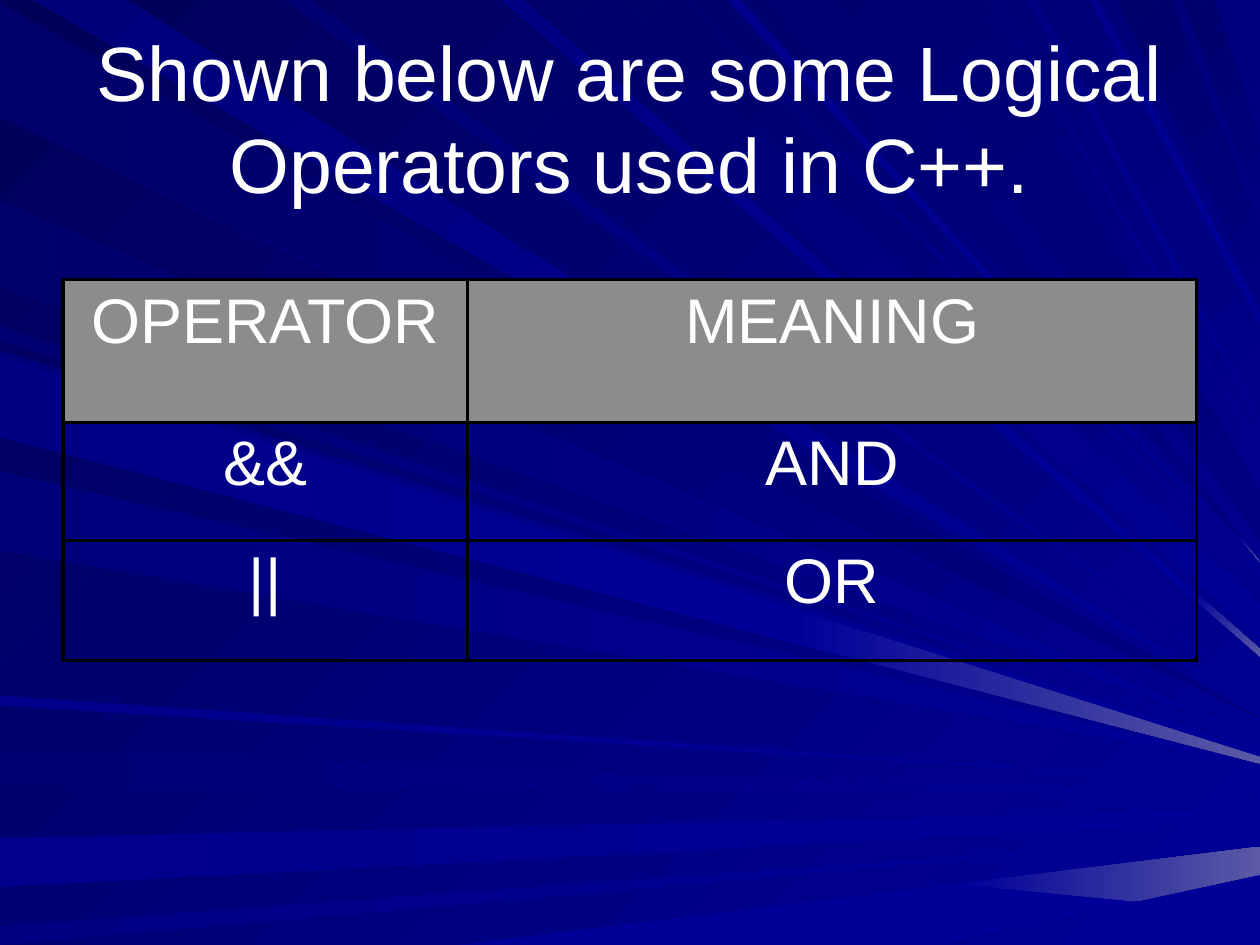
from lxml import etree
from pptx import Presentation
from pptx.dml.color import RGBColor
from pptx.enum.text import MSO_ANCHOR, PP_ALIGN
from pptx.oxml.ns import qn
from pptx.util import Inches, Pt

CENTER = PP_ALIGN.CENTER
MIDDLE = MSO_ANCHOR.MIDDLE
FONT = "Arial"
WIDTH, HEIGHT = 10, 7.5
WHITE = RGBColor.from_string("FFFFFF")
BLACK = RGBColor.from_string("000000")
GRAY = RGBColor.from_string("8C8C8C")
NIGHT = RGBColor.from_string("000058")
DEEP = RGBColor.from_string("00006B")
DIM = RGBColor.from_string("000073")
DUSK = RGBColor.from_string("00007B")
NAVY = RGBColor.from_string("000080")
MID = RGBColor.from_string("000085")
SOFT = RGBColor.from_string("00008C")
BLUE = RGBColor.from_string("000099")
GLOW = RGBColor.from_string("5A5AA6")

TITLE = "Shown below are some Logical Operators used in C++."
OPERATORS = [("OPERATOR", "MEANING"), ("&&", "AND"), ("||", "OR")]
COLUMN_WIDTHS = [3.21, 5.79]
ROW_HEIGHTS = [1.13, 0.94, 0.95]

# Rays run from a slide edge to the right edge, back to front:
# edge, upper start, lower start, heights at the right, colours, glowing tip from
RAYS = [
    ("left", 0.02, 0.93, [5.7], DEEP, NAVY, 1),
    ("top", 1.01, 0.26, [5.63], DUSK, BLUE, 1),
    ("left", 5.96, 6.23, [6.31], DIM, BLUE, 1),
    ("left", 6.65, 7.04, [6.43, 6.51], SOFT, BLUE, 1),
    ("left", 7.35, 7.5, [6.62], MID, BLUE, 1),
    ("bottom", 3.64, 7.42, [6.72, 6.94], BLUE, BLUE, 0.62),
    ("left", 2.58, 2.7, [5.89], DIM, BLUE, 1),
    ("left", 1.59, 2.28, [5.85], DEEP, BLUE, 1),
    ("top", 4.16, 3.98, [5.15, 5.21], MID, BLUE, 0.91),
    ("top", 4.92, 4.26, [4.79, 5.07], DEEP, BLUE, 1),
    ("top", 5.52, 5.4, [4.63], DIM, BLUE, 1),
    ("top", 6.61, 6.06, [4.46], DIM, NAVY, 0.96),
    ("top", 9.3, 8.87, [1.83, 2.37], DEEP, NAVY, 1),
    ("top", 9.64, 9.39, [1.14, 1.67], DEEP, NAVY, 1),
    ("left", 2.78, 3.42, [5.96, 6.02], DUSK, BLUE, 1),
    ("left", 3.74, 4.37, [6.06], DUSK, BLUE, 1),
    ("left", 5.52, 5.6, [6.22], SOFT, BLUE, 1),
    ("top", 2.47, 2.25, [5.5], DIM, BLUE, 1),
    ("top", 5.88, 5.77, [4.54], SOFT, BLUE, 1),
    ("top", 7.7, 6.86, [3.9, 4.28], DIM, NAVY, 1),
    ("top", 7.92, 7.85, [3.57], DUSK, BLUE, 1),
    ("top", 8.24, 8.15, [3.36], MID, BLUE, 1),
    ("top", 8.72, 8.65, [2.49, 2.58], SOFT, BLUE, 1),
    ("left", 2.83, 3.47, [6.01, 6.06], MID, BLUE, 0.63),
]


def paint(fill, start, end, angle):
    """Fill with one colour, or with a gradient turned clockwise by angle."""
    if start == end:
        fill.solid()
        fill.fore_color.rgb = start
        return
    fill.gradient()
    fill.gradient_angle = -angle % 360
    for stop, color in zip(fill.gradient_stops, (start, end)):
        stop.color.rgb = color


def add_band(slide, corners, start, end, angle):
    first, *others = [(Inches(x), Inches(y)) for x, y in corners]
    builder = slide.shapes.build_freeform(*first)
    builder.add_line_segments(others, close=True)
    band = builder.convert_to_shape()
    band.shadow.inherit = False
    band.line.fill.background()
    paint(band.fill, start, end, angle)


def between(start, end, share):
    return tuple(a + (b - a) * share for a, b in zip(start, end))


def add_ray(slide, edge, upper, lower, heights, start, end, tip_from):
    if edge == "left":
        upper_start, lower_start = (0, upper), (0, lower)
    else:
        y = 0 if edge == "top" else HEIGHT
        upper_start, lower_start = (upper, y), (lower, y)
    upper_end, lower_end = (WIDTH, heights[0]), (WIDTH, heights[-1])
    upper_split = between(upper_start, upper_end, tip_from)
    lower_split = between(lower_start, lower_end, tip_from)
    angle = 45 if edge == "top" else 0
    add_band(slide, [upper_start, upper_split, lower_split, lower_start], start, end, angle)
    if tip_from < 1:
        add_band(slide, [upper_split, upper_end, lower_end, lower_split], BLUE, GLOW, angle)


def write(frame, text, size):
    paragraph = frame.paragraphs[0]
    paragraph.alignment = CENTER
    run = paragraph.add_run()
    run.text = text
    run.font.size = Pt(size)
    run.font.name = FONT
    run.font.bold = False
    run.font.color.rgb = WHITE


def add_borders(cell):
    properties = cell._tc.get_or_add_tcPr()
    for index, side in enumerate(("lnL", "lnR", "lnT", "lnB")):
        border = etree.Element(qn(f"a:{side}"), w=str(Pt(2)))
        solid = etree.SubElement(border, qn("a:solidFill"))
        etree.SubElement(solid, qn("a:srgbClr"), val=str(BLACK))
        properties.insert(index, border)


def add_operator_table(slide):
    table = slide.shapes.add_table(
        len(OPERATORS), len(COLUMN_WIDTHS), Inches(0.5), Inches(2.22),
        Inches(sum(COLUMN_WIDTHS)), Inches(sum(ROW_HEIGHTS))).table
    table.first_row = table.horz_banding = False
    for column, width in zip(table.columns, COLUMN_WIDTHS):
        column.width = Inches(width)
    for row_index, (row, height, texts) in enumerate(zip(table.rows, ROW_HEIGHTS, OPERATORS)):
        row.height = Inches(height)
        for cell, text in zip(row.cells, texts):
            write(cell.text_frame, text, 36)
            if row_index == 0:
                paint(cell.fill, GRAY, GRAY, 0)
            else:
                cell.fill.background()
            add_borders(cell)


def main():
    deck = Presentation()
    deck.slide_width, deck.slide_height = Inches(WIDTH), Inches(HEIGHT)
    slide = deck.slides.add_slide(deck.slide_layouts[6])
    paint(slide.background.fill, NIGHT, BLUE, 45)
    for ray in RAYS:
        add_ray(slide, *ray)
    title = slide.shapes.add_textbox(Inches(0.5), Inches(0.3), Inches(9), Inches(1.25)).text_frame
    title.word_wrap = True
    title.vertical_anchor = MIDDLE
    write(title, TITLE, 44)
    add_operator_table(slide)
    deck.save("out.pptx")


if __name__ == "__main__":
    main()
